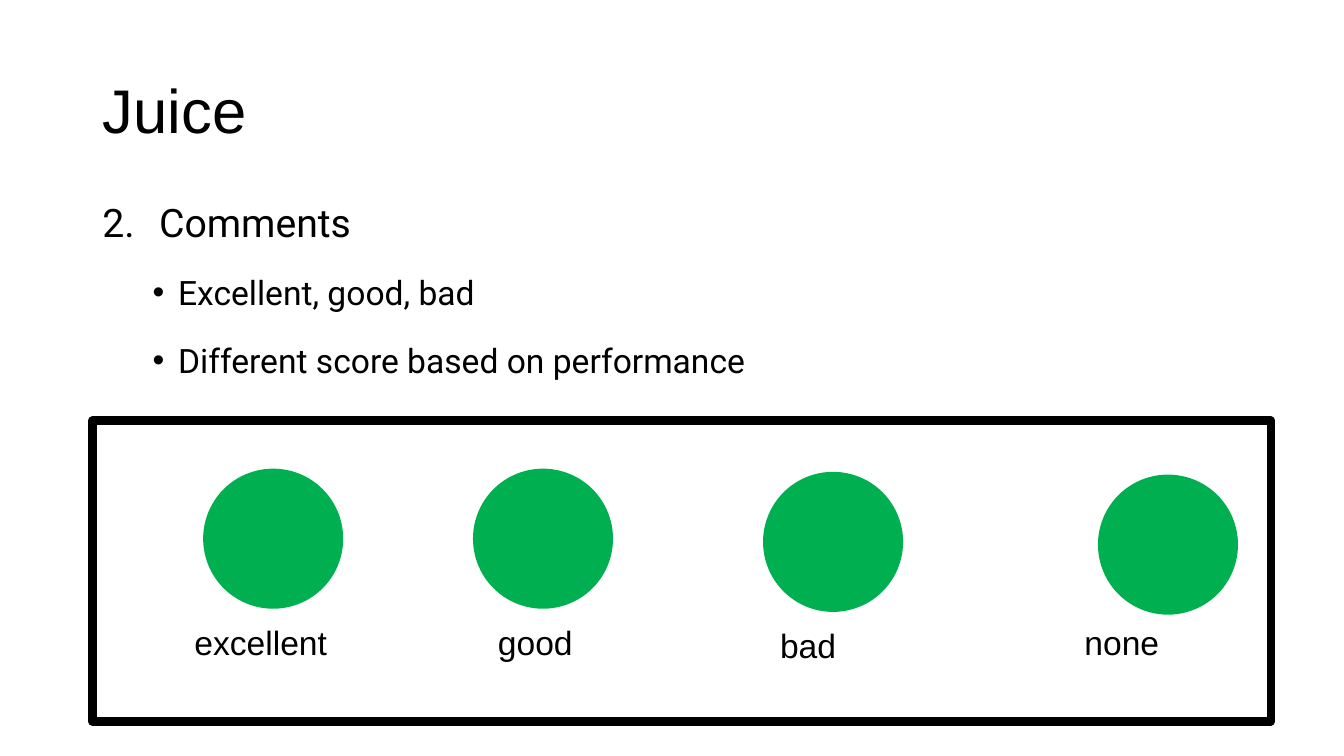
from lxml import etree
from pptx import Presentation
from pptx.dml.color import RGBColor
from pptx.enum.shapes import MSO_SHAPE
from pptx.enum.text import MSO_ANCHOR, MSO_AUTO_SIZE, PP_ALIGN
from pptx.oxml.ns import qn
from pptx.util import Cm, Pt

RECTANGLE = MSO_SHAPE.RECTANGLE
OVAL = MSO_SHAPE.OVAL
MIDDLE = MSO_ANCHOR.MIDDLE
NO_AUTOFIT = MSO_AUTO_SIZE.NONE
LEFT = PP_ALIGN.LEFT
TITLE_ONLY = 5
BLACK = "000000"
GREEN = "00B050"


def color(hex_string):
    return RGBColor.from_string(hex_string)


def format_font(paragraph, name, size):
    for run in paragraph.runs:
        run.font.name = name
        run.font.size = Pt(size)
        run.font.color.rgb = color(BLACK)


presentation = Presentation()
presentation.slide_width = Cm(33.87)
presentation.slide_height = Cm(19.05)
slide = presentation.slides.add_slide(presentation.slide_layouts[TITLE_ONLY])

# Title
title = slide.shapes.title
title.left, title.top, title.width, title.height = Cm(2.33), Cm(1.01), Cm(29.21), Cm(3.68)
title.text_frame.text = "Juice"
title.text_frame.auto_size = NO_AUTOFIT
title.text_frame.vertical_anchor = MIDDLE
title_paragraph = title.text_frame.paragraphs[0]
title_paragraph.alignment = LEFT
title_paragraph.line_spacing = 0.9
format_font(title_paragraph, "Arial", 44)

# Numbered point with its bullets: text, level, left margin, hanging indent, size
points = [
    ("Comments", 0, 1.43, 1.43, 28),
    ("Excellent, good, bad", 1, 1.91, 0.64, 24),
    ("Different score based on performance", 1, 1.91, 0.64, 24),
]
body = slide.shapes.add_textbox(Cm(2.33), Cm(4.27), Cm(29.21), Cm(6.35))
body.text_frame.word_wrap = True
body.text_frame.text = "\n".join(point[0] for point in points)
for paragraph, (_, level, margin, hanging, size) in zip(body.text_frame.paragraphs, points):
    paragraph.level = level
    paragraph.line_spacing = 1.5
    paragraph.space_before = Pt(5 * level)
    properties = paragraph._p.get_or_add_pPr()
    properties.set("marL", str(Cm(margin)))
    properties.set("indent", str(-Cm(hanging)))
    if level == 0:
        etree.SubElement(properties, qn("a:buFont"), typeface="+mj-lt")
        etree.SubElement(properties, qn("a:buAutoNum"), type="arabicPeriod", startAt="2")
    else:
        etree.SubElement(properties, qn("a:buFont"), typeface="Arial")
        etree.SubElement(properties, qn("a:buChar"), char="•")
    format_font(paragraph, "Roboto", size)

# Frame around the ratings
frame = slide.shapes.add_shape(RECTANGLE, Cm(2.33), Cm(10.6), Cm(29.7), Cm(7.58))
frame.shadow.inherit = False
frame.fill.background()
frame.line.color.rgb = color(BLACK)
frame.line.width = Pt(6)

# Ratings: label, circle left and top, label left, top and width
ratings = [
    ("excellent", 5.12, 11.81, 4.65, 15.54, 4.47),
    ("good", 11.92, 11.81, 12.3, 15.54, 2.79),
    ("bad", 19.23, 11.89, 19.41, 15.62, 2.24),
    ("none", 27.67, 11.96, 27.08, 15.54, 2.69),
]
for _, left, top, *_ in ratings:
    circle = slide.shapes.add_shape(OVAL, Cm(left), Cm(top), Cm(3.53), Cm(3.53))
    circle.shadow.inherit = False
    circle.fill.solid()
    circle.fill.fore_color.rgb = color(GREEN)
    circle.line.fill.background()

for text, _, _, left, top, width in ratings:
    label = slide.shapes.add_textbox(Cm(left), Cm(top), Cm(width), Cm(1.28))
    label.text_frame.word_wrap = True
    label.text_frame.text = text
    format_font(label.text_frame.paragraphs[0], "Arial", 24)

presentation.save("out.pptx")
